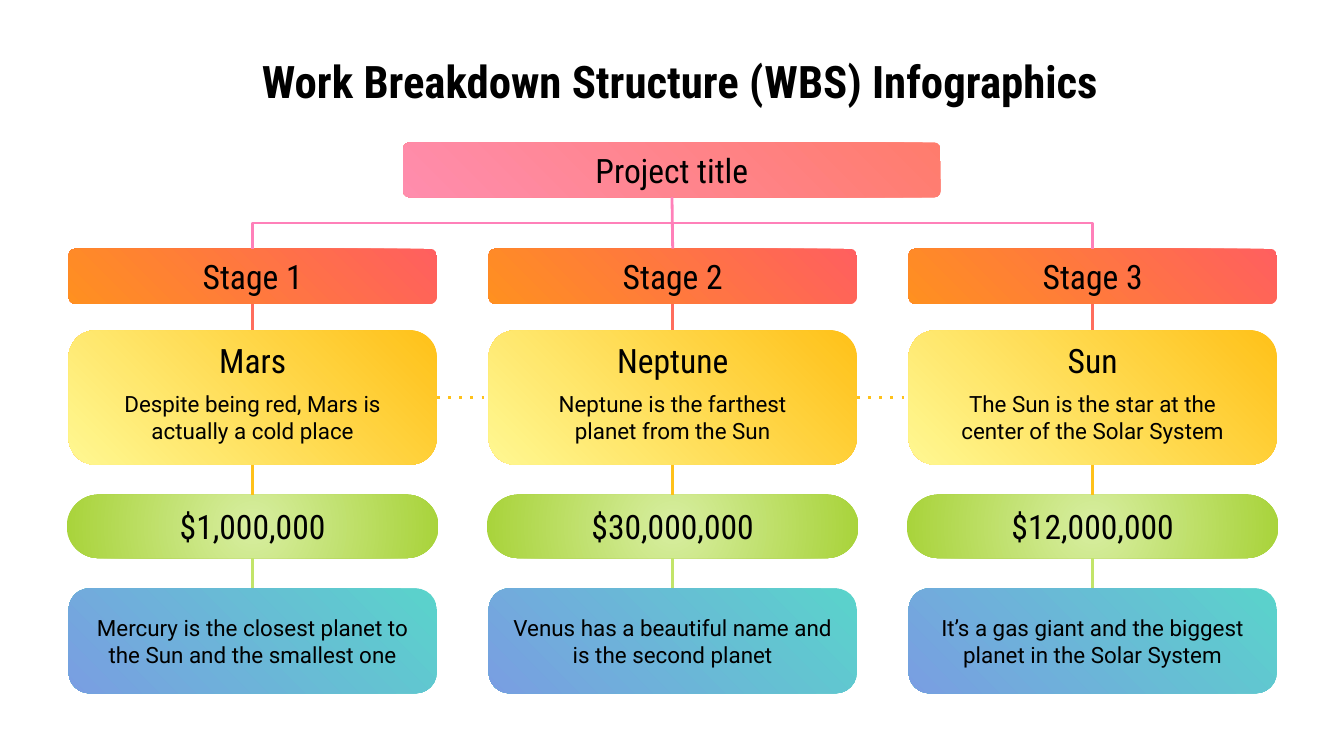
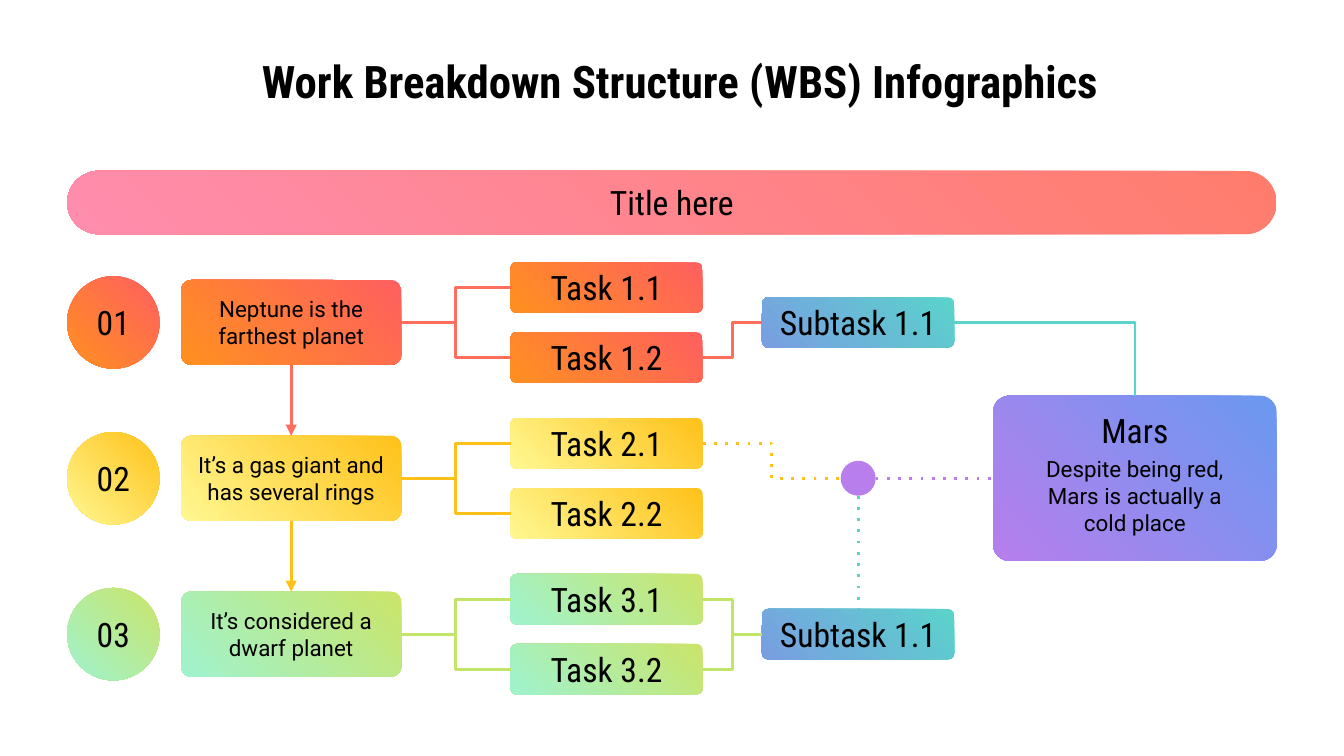
from lxml import etree
from pptx import Presentation
from pptx import util as u
from pptx.dml.color import RGBColor
from pptx.enum import shapes, text
from pptx.oxml.ns import qn

COLORS = {
    "black": "000000", "pink": "FF80B9", "red": "FF6D5D", "yellow": "FFC119",
    "green": "C2E469", "teal": "5AD3CB", "purple": "B77EEC",
}
GRADIENTS = {
    "pink": ("FF7C6D", "FF8DAD"), "red": ("FF5F5F", "FF9020"),
    "yellow": ("FFC119", "FFF892"), "green": ("CBE469", "9FF3CF"),
    "lime": ("D8EEA1", "A8D33A"), "teal": ("5AD3CB", "799EE2"),
    "purple": ("6A99F0", "B77EEC"),
}
HEADING = ("Roboto Condensed", 18)
BODY = ("Roboto", 12)
TITLE = "Work Breakdown Structure (WBS) Infographics"
TOP, LEFT, BOTTOM, RIGHT = range(4)

STAGES = [
    ("Stage 1", "Mars", "Despite being red, Mars is actually a cold place",
     "$1,000,000", "Mercury is the closest planet to the Sun and the smallest one"),
    ("Stage 2", "Neptune", "Neptune is the farthest planet from the Sun",
     "$30,000,000", "Venus has a beautiful name and is the second planet"),
    ("Stage 3", "Sun", "The Sun is the star at the center of the Solar System",
     "$12,000,000", "It’s a gas giant and the biggest planet in the Solar System"),
]
TASK_ROWS = [
    ("red", "Neptune is the farthest planet"),
    ("yellow", "It’s a gas giant and has several rings"),
    ("green", "It’s considered a dwarf planet"),
]


def rgb(name):
    return RGBColor.from_string(COLORS[name])


def write(shape, words, style, anchor=text.MSO_ANCHOR.MIDDLE, bold=False):
    frame = shape.text_frame
    frame.word_wrap = True
    frame.auto_size = text.MSO_AUTO_SIZE.NONE
    frame.vertical_anchor = anchor
    frame.margin_left = frame.margin_right = u.Pt(7.2)
    frame.margin_top = frame.margin_bottom = u.Pt(7.2)
    para = frame.paragraphs[0]
    para.alignment = text.PP_ALIGN.CENTER
    span = para.add_run()
    span.text = words
    font = span.font
    font.name, font.size, font.bold = style[0], u.Pt(style[1]), bold
    font.color.rgb = rgb("black")


def paint_gradient(shape, name, radial=False):
    shape.fill.gradient()
    for stop, color in zip(shape.fill.gradient_stops, GRADIENTS[name]):
        stop.color.rgb = RGBColor.from_string(color)
    if not radial:
        shape.fill.gradient_angle = 225
        return
    gradient = shape._element.spPr.find(qn("a:gradFill"))
    gradient.remove(gradient.find(qn("a:lin")))
    circle = etree.SubElement(gradient, qn("a:path"), path="circle")
    etree.SubElement(circle, qn("a:fillToRect"),
                     l="50000", t="50000", r="50000", b="50000")


def add_plain(page, kind, x, y, width, height):
    shape = page.shapes.add_shape(kind, u.Pt(x), u.Pt(y), u.Pt(width), u.Pt(height))
    shape.shadow.inherit = False
    shape.line.fill.background()
    return shape


def add_box(page, x, y, width, height, gradient, words="", style=HEADING,
            corner=0.12, radial=False):
    box = add_plain(page, shapes.MSO_SHAPE.ROUNDED_RECTANGLE, x, y, width, height)
    box.adjustments[0] = corner
    paint_gradient(box, gradient, radial)
    if words:
        write(box, words, style)
    return box


def add_circle(page, center_x, center_y, size):
    return add_plain(page, shapes.MSO_SHAPE.OVAL,
                     center_x - size / 2, center_y - size / 2, size, size)


def add_caption(page, center_x, y, width, heading, body, gap, body_height):
    parts = []
    for words, style, top, height in ((heading, HEADING, y, 25.25),
                                      (body, BODY, y + gap, body_height)):
        label = page.shapes.add_textbox(u.Pt(center_x - width / 2), u.Pt(top),
                                        u.Pt(width), u.Pt(height))
        write(label, words, style, text.MSO_ANCHOR.TOP)
        parts.append(label)
    page.shapes.add_group_shape(parts)


def side(shape, site):
    middle_x = shape.left + shape.width // 2
    middle_y = shape.top + shape.height // 2
    return {
        TOP: (middle_x, shape.top),
        LEFT: (shape.left, middle_y),
        BOTTOM: (middle_x, shape.top + shape.height),
        RIGHT: (shape.left + shape.width, middle_y),
    }[site]


def style_line(line, color, dotted=False, arrow=False):
    line.line.color.rgb = rgb(color)
    line.line.width = u.Pt(1.5)
    properties = line._element.spPr
    stroke = properties.find(qn("a:ln"))
    if dotted:
        etree.SubElement(stroke, qn("a:prstDash"), val="dot")
    if arrow:
        etree.SubElement(stroke, qn("a:tailEnd"), type="triangle")
    etree.SubElement(properties, qn("a:effectLst"))


def join(page, start, start_site, end, end_site, color, **look):
    line = page.shapes.add_connector(shapes.MSO_CONNECTOR.STRAIGHT,
                                     *side(start, start_site), *side(end, end_site))
    if start.auto_shape_type == shapes.MSO_SHAPE.ROUNDED_RECTANGLE:
        line.begin_connect(start, start_site)
    line.end_connect(end, end_site)
    style_line(line, color, **look)


def bend(page, start, end, end_site, color, dotted=False):
    line = page.shapes.add_connector(shapes.MSO_CONNECTOR.ELBOW,
                                     *side(start, RIGHT), *side(end, end_site))
    if end_site == TOP:
        line._element.spPr.find(qn("a:prstGeom")).set("prst", "bentConnector2")
    style_line(line, color, dotted)


def branch_down(page, parent, child, color):
    (x1, y1), (x2, y2) = side(parent, BOTTOM), side(child, TOP)
    center_x, center_y = (x1 + x2) // 2, (y1 + y2) // 2
    half_drop, half_span = (y2 - y1) // 2, abs(x2 - x1) // 2
    turn = 90
    if x2 > x1:
        turn, half_drop = 270, -half_drop
    line = page.shapes.add_connector(
        shapes.MSO_CONNECTOR.ELBOW, center_x - half_drop, center_y - half_span,
        center_x + half_drop, center_y + half_span)
    line._element.spPr.find(qn("a:xfrm")).set("rot", str(turn * 60000))
    style_line(line, color)


def add_page(deck):
    page = deck.slides.add_slide(deck.slide_layouts[5])
    title = page.shapes.title
    title.left, title.top = u.Pt(28.75), u.Pt(21.75)
    title.width, title.height = u.Pt(671), u.Pt(45.25)
    write(title, TITLE, ("Roboto Condensed", 24), text.MSO_ANCHOR.TOP, bold=True)
    return page


def build_stages(deck):
    page = add_page(deck)
    project = add_box(page, 216, 76.25, 288, 29.5, "pink", "Project title")
    width, pitch = 197.25, 225
    columns = []
    for index, (stage, planet, fact, cost, note) in enumerate(STAGES):
        x = 36.75 + index * pitch
        column = [
            add_box(page, x, 133.25, width, 29.5, "red", stage),
            add_box(page, x, 177, width, 72, "yellow", corner=0.2),
            add_box(page, x - 1, 265, width + 2, 34, "lime", cost,
                    corner=0.5, radial=True),
            add_box(page, x, 315.25, width, 56.25, "teal", note, BODY, 0.2),
        ]
        add_caption(page, x + width / 2, 175, 170, planet, fact, 26.75, 40.25)
        for upper, lower, color in zip(column, column[1:], ("red", "yellow", "green")):
            join(page, upper, BOTTOM, lower, TOP, color)
        columns.append(column)
    for before, after in zip(columns, columns[1:]):
        join(page, before[1], RIGHT, after[1], LEFT, "yellow", dotted=True)
    branch_down(page, project, columns[0][0], "pink")
    branch_down(page, project, columns[2][0], "pink")
    join(page, project, BOTTOM, columns[1][0], TOP, "pink")


def build_tasks(deck):
    page = add_page(deck)
    add_box(page, 36, 91.5, 648, 34, "pink", "Title here", corner=0.5)
    row_centers = [172.75 + 83.5 * index for index in range(len(TASK_ROWS))]
    steps, tasks = [], []
    for number, (center_y, (color, fact)) in enumerate(zip(row_centers, TASK_ROWS), 1):
        badge = add_circle(page, 60.75, center_y, 49.5)
        paint_gradient(badge, color)
        write(badge, f"{number:02}", HEADING)
        step = add_box(page, 97, center_y - 22.75, 118, 45.5, color, fact, BODY)
        pair = [add_box(page, 273.5, center_y + shift - 13.5, 103, 27, color,
                        f"Task {number}.{part}")
                for part, shift in ((1, -18.75), (2, 18.75))]
        for task in pair:
            bend(page, step, task, LEFT, color)
        steps.append(step)
        tasks.append(pair)
    for upper, lower, color in zip(steps, steps[1:], ("red", "yellow")):
        join(page, upper, BOTTOM, lower, TOP, color, arrow=True)

    first, last = [add_box(page, 408.25, center_y - 13.5, 103, 27, "teal", "Subtask 1.1")
                   for center_y in (row_centers[0], row_centers[2])]
    result = add_box(page, 532, 212, 152, 88.5, "purple", corner=0.1)
    add_caption(page, 608, 212.25, 131, "Mars",
                "Despite being red, Mars is actually a cold place", 24.5, 56.25)
    hub = add_circle(page, 459.75, row_centers[1], 18.75)
    hub.fill.solid()
    hub.fill.fore_color.rgb = rgb("purple")

    bend(page, tasks[0][1], first, LEFT, "red")
    bend(page, tasks[1][0], hub, LEFT, "yellow", dotted=True)
    for task in tasks[2]:
        bend(page, task, last, LEFT, "green")
    bend(page, first, result, TOP, "teal")
    join(page, hub, BOTTOM, last, TOP, "teal", dotted=True)
    join(page, hub, RIGHT, result, LEFT, "purple", dotted=True)


def main():
    deck = Presentation()
    deck.slide_width, deck.slide_height = u.Pt(720), u.Pt(405)
    build_stages(deck)
    build_tasks(deck)
    deck.save("out.pptx")


if __name__ == "__main__":
    main()
